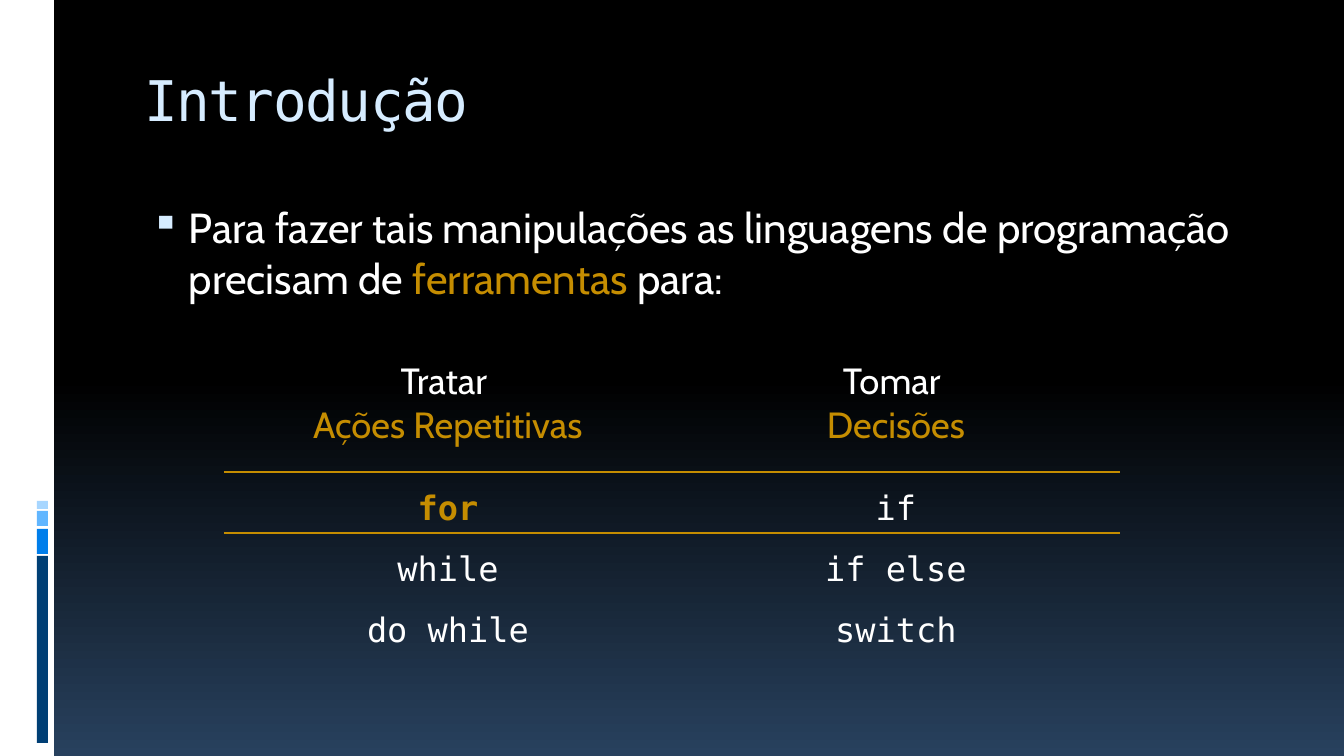
from dataclasses import dataclass

from lxml import etree
from pptx import Presentation
from pptx.dml.color import RGBColor
from pptx.enum.shapes import MSO_SHAPE
from pptx.enum.text import MSO_ANCHOR, MSO_AUTO_SIZE, PP_ALIGN
from pptx.oxml.ns import qn
from pptx.util import Pt

RECTANGLE = MSO_SHAPE.RECTANGLE
TOP, BOTTOM = MSO_ANCHOR.TOP, MSO_ANCHOR.BOTTOM
LEFT, CENTER = PP_ALIGN.LEFT, PP_ALIGN.CENTER
NO_AUTOFIT = MSO_AUTO_SIZE.NONE

EMU_PER_PX = 914400 / 100.8
TITLE_ONLY = 5
PLAIN_TABLE_STYLE = "{2D5ABB26-0587-4C30-8999-92F81FD0307C}"


def px(length):
    return round(length * EMU_PER_PX)


def rgb(color):
    return RGBColor.from_string(color)


@dataclass(frozen=True)
class Theme:
    body_font: str = "Cabin"
    code_font: str = "DejaVu Sans Mono"
    title_size: int = 40
    body_size: int = 30
    header_size: int = 26
    code_size: int = 24
    white: str = "FFFFFF"
    gold: str = "C58D01"
    ice: str = "D6ECFF"
    sky_top: str = "000000"
    sky_bottom: str = "28415E"
    stripes: tuple = ("A7D6FF", "61B6FF", "007EEB", "003F75")


class SlideBuilder:
    def __init__(self, presentation, theme):
        self.theme = theme
        self.slide = presentation.slides.add_slide(
            presentation.slide_layouts[TITLE_ONLY])

    def gradient_background(self):
        fill = self.slide.background.fill
        fill.gradient()
        fill.gradient_angle = 270
        stops = ((0.5, self.theme.sky_top), (1, self.theme.sky_bottom))
        for stop, (position, color) in zip(fill.gradient_stops, stops):
            stop.position = position
            stop.color.rgb = rgb(color)

    def bar(self, left, top, width, height, color):
        shape = self.slide.shapes.add_shape(
            RECTANGLE, px(left), px(top), px(width), px(height))
        shape.shadow.inherit = False
        shape.fill.solid()
        shape.fill.fore_color.rgb = rgb(color)
        shape.line.fill.background()

    def add_pieces(self, paragraph, pieces, font_name, size, bold=False):
        """Fill a paragraph with (text, color) pieces in one font."""
        for text, color in pieces:
            run = paragraph.add_run()
            run.text = text
            run.font.name = font_name
            run.font.size = Pt(size)
            run.font.bold = bold
            run.font.color.rgb = rgb(color)

    def title(self, text, left, top, width, height):
        shape = self.slide.shapes.title
        shape.left, shape.top = px(left), px(top)
        shape.width, shape.height = px(width), px(height)
        frame = shape.text_frame
        frame.auto_size = NO_AUTOFIT
        frame.vertical_anchor = TOP
        frame.margin_top = px(10)
        paragraph = frame.paragraphs[0]
        paragraph.alignment = LEFT
        self.add_pieces(paragraph, [(text, self.theme.ice)],
                        self.theme.code_font, self.theme.title_size)
        for run in paragraph.runs:
            run._r.get_or_add_rPr().set("spc", "-100")

    def bullet_text(self, pieces, left, top, width, height):
        box = self.slide.shapes.add_textbox(
            px(left), px(top), px(width), px(height))
        box.text_frame.word_wrap = True
        paragraph = box.text_frame.paragraphs[0]
        properties = paragraph._p.get_or_add_pPr()
        properties.set("marL", str(px(45)))
        properties.set("indent", str(px(-38)))
        bullet_color = etree.SubElement(properties, qn("a:buClr"))
        etree.SubElement(bullet_color, qn("a:srgbClr"), val=self.theme.ice)
        etree.SubElement(properties, qn("a:buSzPct"), val="95000")
        etree.SubElement(properties, qn("a:buChar"), char="▪")
        self.add_pieces(paragraph, pieces,
                        self.theme.body_font, self.theme.body_size)

    def cell_border(self, cell, side):
        border = etree.Element(qn(f"a:{side}"), w=str(Pt(2.25)))
        fill = etree.SubElement(border, qn("a:solidFill"))
        etree.SubElement(fill, qn("a:srgbClr"), val=self.theme.gold)
        cell._tc.get_or_add_tcPr().insert(0, border)

    def tools_table(self, headers, rows, left, top, column_width,
                    header_height, row_height):
        theme = self.theme
        table = self.slide.shapes.add_table(
            len(rows) + 1, len(headers), px(left), px(top),
            px(column_width * len(headers)),
            px(header_height + row_height * len(rows))).table
        table.first_row = table.horz_banding = False
        table._tbl.tblPr.find(qn("a:tableStyleId")).text = PLAIN_TABLE_STYLE
        for column in table.columns:
            column.width = px(column_width)
        for index, row in enumerate(table.rows):
            row.height = px(row_height if index else header_height)
        for cell in table.iter_cells():
            cell.fill.background()
            cell.text_frame.paragraphs[0].alignment = CENTER

        for column, (verb, target) in enumerate(headers):
            cell = table.cell(0, column)
            cell.vertical_anchor = TOP
            paragraph = cell.text_frame.paragraphs[0]
            for position, piece in enumerate(
                    ((verb, theme.white), (target, theme.gold))):
                if position:
                    paragraph.add_line_break()
                self.add_pieces(paragraph, [piece],
                                theme.body_font, theme.header_size)
            self.cell_border(cell, "lnB")
            self.cell_border(table.cell(1, column), "lnT")

        for row, keywords in enumerate(rows, start=1):
            for column, keyword in enumerate(keywords):
                cell = table.cell(row, column)
                cell.vertical_anchor = BOTTOM
                current = keyword == "for"
                color = theme.gold if current else theme.white
                self.add_pieces(cell.text_frame.paragraphs[0],
                                [(keyword, color)], theme.code_font,
                                theme.code_size, bold=current)


def main():
    presentation = Presentation()
    presentation.slide_width, presentation.slide_height = px(1344), px(756)
    theme = Theme()
    builder = SlideBuilder(presentation, theme)

    builder.gradient_background()
    builder.bar(0, 0, 54, 756, theme.white)
    stripe_spans = ((501, 8), (511, 15), (529, 25), (556, 187))
    for (top, height), color in zip(stripe_spans, theme.stripes):
        builder.bar(37, top, 11, height, color)

    builder.title("Introdução", 134, 56, 1142, 101)
    builder.bullet_text(
        [("Para fazer tais manipulações as linguagens de programação "
          "precisam de ", theme.white),
         ("ferramentas", theme.gold),
         (" para:", theme.white)],
        134, 197, 1142, 504)
    builder.tools_table(
        headers=(("Tratar ", "Ações Repetitivas"), ("Tomar ", "Decisões")),
        rows=(("for", "if"), ("while", "if else"), ("do while", "switch")),
        left=224, top=354, column_width=448, header_height=118, row_height=61)

    presentation.save("out.pptx")


if __name__ == "__main__":
    main()
